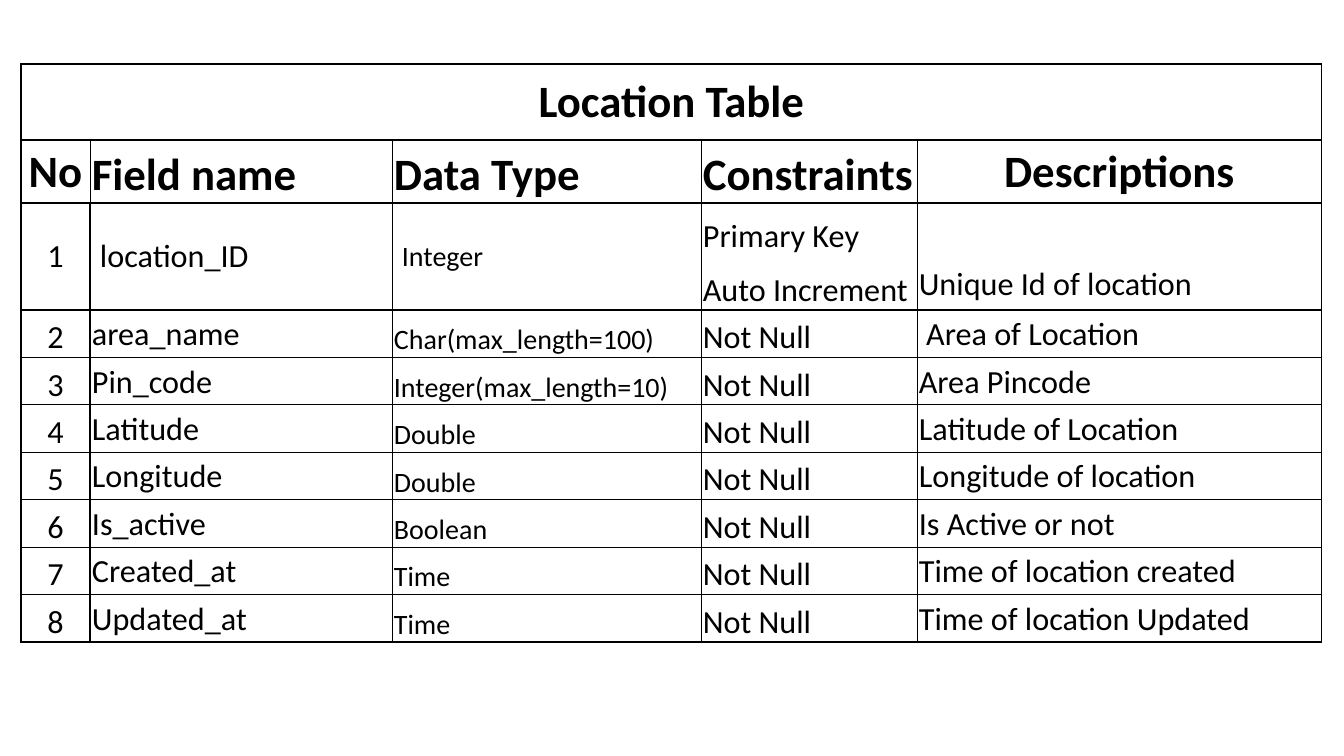
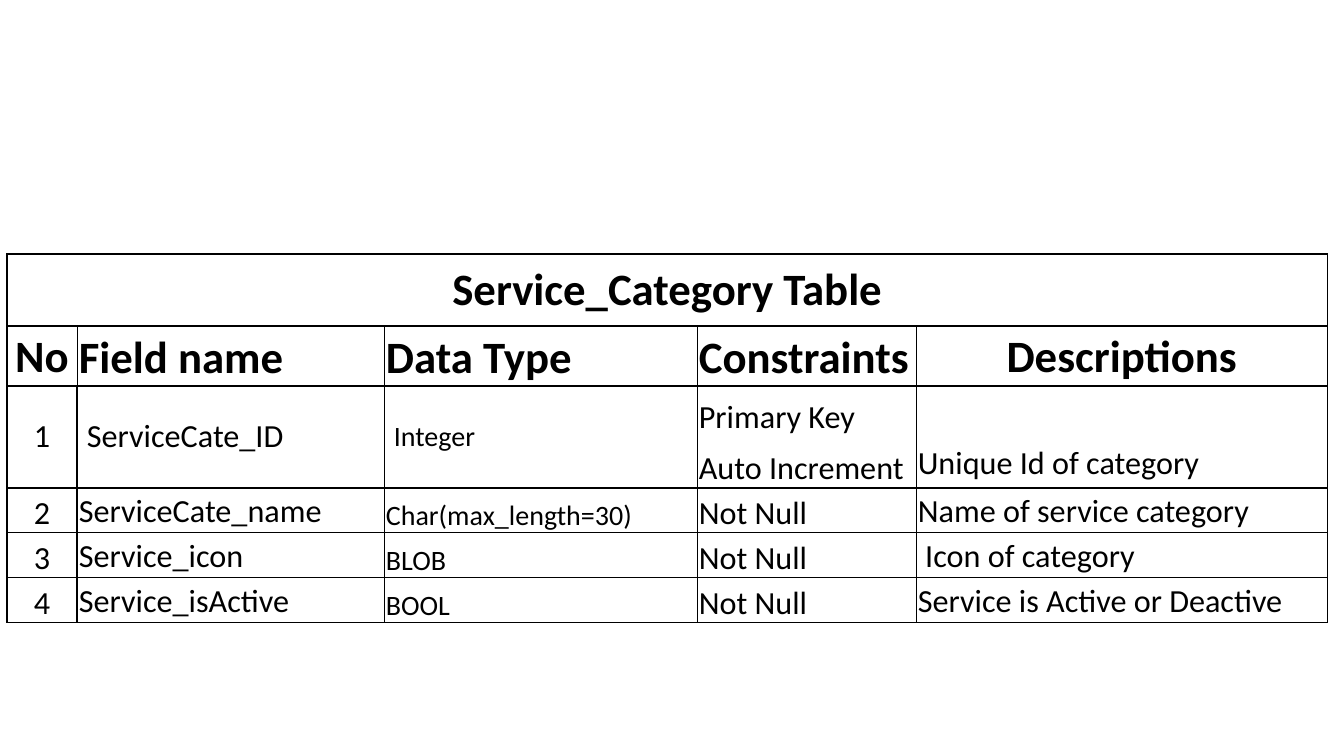
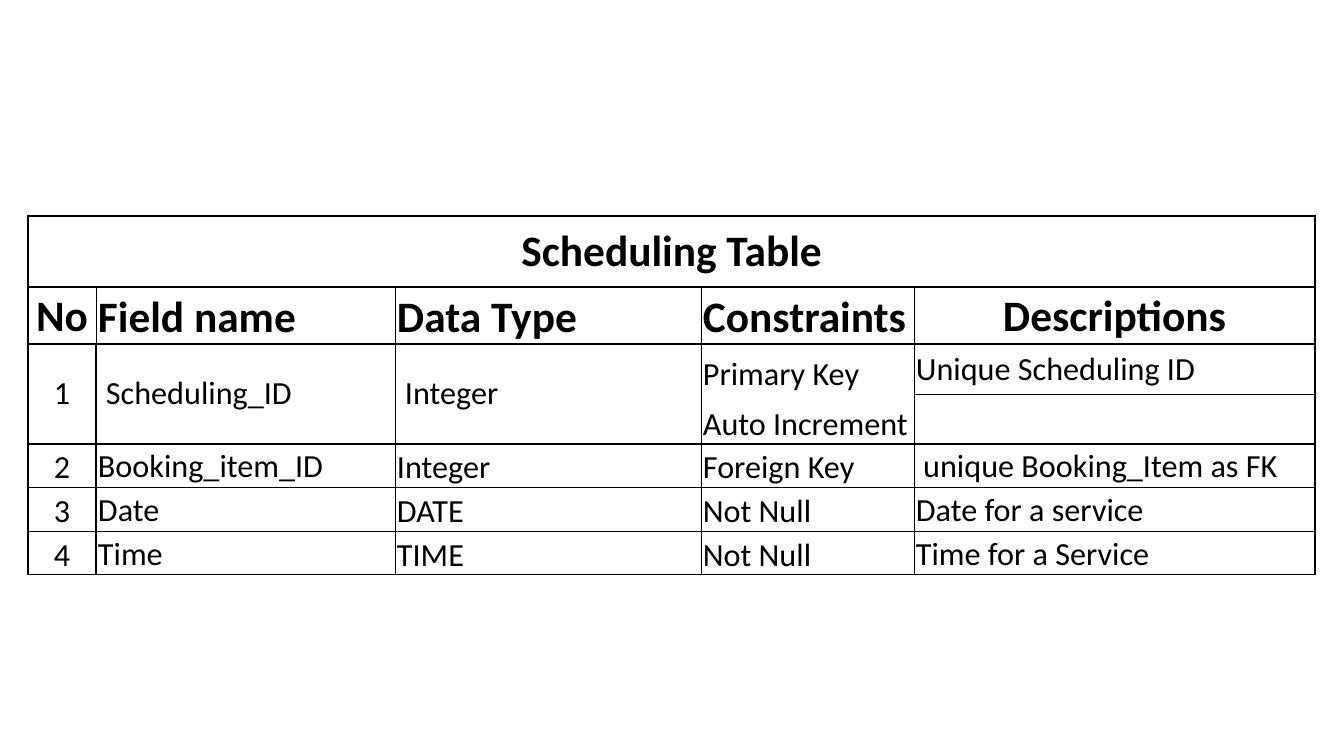
from lxml import etree
from pptx import Presentation
from pptx.dml.color import RGBColor
from pptx.enum.text import MSO_ANCHOR, PP_ALIGN
from pptx.oxml.ns import qn
from pptx.util import Emu, Pt

MIDDLE, BOTTOM = MSO_ANCHOR.MIDDLE, MSO_ANCHOR.BOTTOM
LEFT, CENTER = PP_ALIGN.LEFT, PP_ALIGN.CENTER

EMU_PER_PX = 914400 / 100.8
COLORS = {"ink": "000000", "paper": "FFFFFF"}
FONT = "Calibri"
PLAIN_TABLE_STYLE = "{2D5ABB26-0587-4C30-8999-92F81FD0307C}"
THICK, THIN, NO_LINE = 1, 0.5, 0
RECORD_SIZE = 23

HEADINGS = ["No", "Field name", "Data Type", "Constraints", "Descriptions"]
KEY_CONSTRAINTS = ["Primary Key", "Auto Increment"]
HEADING_ANCHORS = [MIDDLE, BOTTOM, BOTTOM, BOTTOM, MIDDLE]
HEADING_ALIGNS = [CENTER, LEFT, LEFT, LEFT, CENTER]
RECORD_ANCHORS = [BOTTOM, MIDDLE, BOTTOM, BOTTOM, MIDDLE]
RECORD_ALIGNS = [CENTER, LEFT, LEFT, LEFT, LEFT]
TITLE_ROW, HEADING_ROW, KEY_ROW, KEY_END_ROW, FIRST_RECORD_ROW = range(5)
LAST_COLUMN = len(HEADINGS) - 1

WIDE_INSETS = {"margin_left": 10, "margin_right": 10, "margin_top": 5, "margin_bottom": 5}
TIGHT_INSETS = {"margin_left": 2, "margin_right": 2, "margin_top": 2, "margin_bottom": 0}

# heights: title row, heading row, both key rows together, all records together
SCHEMAS = [
    {
        "title": "Location Table",
        "at": (21, 64),
        "widths": [69, 302, 309, 216, 405],
        "heights": (76, 63, 107, 332),
        "heading_size": 32,
        "type_size": 20,
        "key": ["1", "location_ID", "Integer"],
        "key_notes": ["", "Unique Id of location"],
        "records": [
            ("area_name", "Char(max_length=100)", "Not Null", " Area of Location"),
            ("Pin_code", "Integer(max_length=10)", "Not Null", "Area Pincode"),
            ("Latitude", "Double", "Not Null", "Latitude of Location"),
            ("Longitude", "Double", "Not Null", "Longitude of location"),
            ("Is_active", "Boolean", "Not Null", "Is Active or not"),
            ("Created_at", "Time", "Not Null", "Time of location created"),
            ("Updated_at", "Time", "Not Null", "Time of location Updated"),
        ],
    },
    {
        "title": "Service_Category Table",
        "at": (7, 254),
        "widths": [70, 307, 313, 219, 412],
        "heights": (72, 60, 102, 135),
        "heading_size": 32,
        "type_size": 20,
        "key": ["1", "ServiceCate_ID", "Integer"],
        "key_notes": ["", "Unique Id of category"],
        "records": [
            ("ServiceCate_name", "Char(max_length=30)", "Not Null", "Name of service category"),
            ("Service_icon", "BLOB", "Not Null", " Icon of category"),
            ("Service_isActive", "BOOL", "Not Null", "Service is Active or Deactive"),
        ],
    },
    {
        "title": "Scheduling Table",
        "at": (28, 216),
        "widths": [68, 299, 306, 213, 401],
        "heights": (71, 57, 100, 131),
        "heading_size": 31,
        "type_size": 23,
        "key": ["1", "Scheduling_ID", "Integer"],
        "key_notes": ["Unique Scheduling ID", ""],
        "records": [
            ("Booking_item_ID", "Integer", "Foreign Key", " unique Booking_Item as FK"),
            ("Date", "DATE", "Not Null", "Date for a service"),
            ("Time", "TIME", "Not Null", "Time for a Service"),
        ],
    },
]


def px(length):
    return Emu(round(length * EMU_PER_PX))


def write_cell(cell, text, size, anchor, align, bold=False, insets=TIGHT_INSETS):
    for name, value in insets.items():
        setattr(cell, name, px(value))
    cell.vertical_anchor = anchor
    if not text:
        return
    para = cell.text_frame.paragraphs[0]
    para.alignment = align
    span = para.add_run()
    span.text = text
    for name, value in {"name": FONT, "size": Pt(size), "bold": bold}.items():
        setattr(span.font, name, value)
    span.font.color.rgb = RGBColor.from_string(COLORS["ink"])


def edge_widths(row, column, key_notes_divided):
    """Line widths of one cell, leaving out the lines inside merged areas."""
    thick_sides = {0, LAST_COLUMN + 1}
    if row >= KEY_ROW:
        thick_sides.add(1)
    left = THICK if column in thick_sides else THIN
    right = THICK if column + 1 in thick_sides else THIN
    top = bottom = THICK
    if row == TITLE_ROW:
        left = NO_LINE if column else THICK
        right = THICK if column in (0, LAST_COLUMN) else NO_LINE
    key_line = THIN if key_notes_divided and column == LAST_COLUMN else NO_LINE
    if row == KEY_ROW and column >= 3:
        bottom = key_line
    if row == KEY_END_ROW:
        top = key_line
    return {"a:lnL": left, "a:lnR": right, "a:lnT": top, "a:lnB": bottom}


def draw_edges(cell, widths):
    properties = cell._tc.get_or_add_tcPr()
    for tag, width in widths.items():
        line = etree.SubElement(properties, qn(tag), w=str(Pt(width)))
        if width:
            fill = etree.SubElement(line, qn("a:solidFill"))
            etree.SubElement(fill, qn("a:srgbClr"), val=COLORS["ink"])
        else:
            etree.SubElement(line, qn("a:noFill"))


def row_heights(schema):
    title, heading, key, records = schema["heights"]
    count = len(schema["records"])
    return [title, heading] + [key / 2] * 2 + [records / count] * count


def add_grid(slide, schema):
    """Add the empty table with its merged cells and lines."""
    heights, widths = row_heights(schema), schema["widths"]
    left, top = schema["at"]
    frame = slide.shapes.add_table(len(heights), len(widths), px(left), px(top),
                                   px(sum(widths)), px(sum(heights)))
    table = frame.table
    table.first_row = table.horz_banding = False
    table._tbl.tblPr.find(qn("a:tableStyleId")).text = PLAIN_TABLE_STYLE
    for column, width in zip(table.columns, widths):
        column.width = px(width)
    for row, height in zip(table.rows, heights):
        row.height = px(height)
    table.cell(TITLE_ROW, 0).merge(table.cell(TITLE_ROW, LAST_COLUMN))
    for column in range(len(schema["key"])):
        table.cell(KEY_ROW, column).merge(table.cell(KEY_END_ROW, column))
    divided = bool(schema["key_notes"][0])
    for row in range(len(heights)):
        for column in range(len(widths)):
            cell = table.cell(row, column)
            draw_edges(cell, edge_widths(row, column, divided))
            cell.fill.background()
    return table


def fill_headings(table, schema):
    size = schema["heading_size"]
    write_cell(table.cell(TITLE_ROW, 0), schema["title"], size, MIDDLE, CENTER, True, WIDE_INSETS)
    for column, heading in enumerate(HEADINGS):
        write_cell(table.cell(HEADING_ROW, column), heading, size,
                   HEADING_ANCHORS[column], HEADING_ALIGNS[column], True)


def fill_records(table, schema):
    sizes = [RECORD_SIZE, RECORD_SIZE, schema["type_size"], RECORD_SIZE, RECORD_SIZE]
    for column, text in enumerate(schema["key"]):
        write_cell(table.cell(KEY_ROW, column), text, sizes[column], MIDDLE,
                   RECORD_ALIGNS[column], insets=WIDE_INSETS)
    for offset, texts in enumerate(zip(KEY_CONSTRAINTS, schema["key_notes"])):
        for column, text in enumerate(texts, start=3):
            write_cell(table.cell(KEY_ROW + offset, column), text, RECORD_SIZE,
                       RECORD_ANCHORS[column], LEFT)
    for number, record in enumerate(schema["records"], start=2):
        row = FIRST_RECORD_ROW + number - 2
        for column, text in enumerate((str(number), *record)):
            write_cell(table.cell(row, column), text, sizes[column],
                       RECORD_ANCHORS[column], RECORD_ALIGNS[column])


def add_schema_slide(deck, schema):
    slide = deck.slides.add_slide(deck.slide_layouts[6])
    slide.background.fill.solid()
    slide.background.fill.fore_color.rgb = RGBColor.from_string(COLORS["paper"])
    table = add_grid(slide, schema)
    fill_headings(table, schema)
    fill_records(table, schema)


def main():
    deck = Presentation()
    deck.slide_width, deck.slide_height = px(1344), px(756)
    for schema in SCHEMAS:
        add_schema_slide(deck, schema)
    deck.save("out.pptx")


if __name__ == "__main__":
    main()
